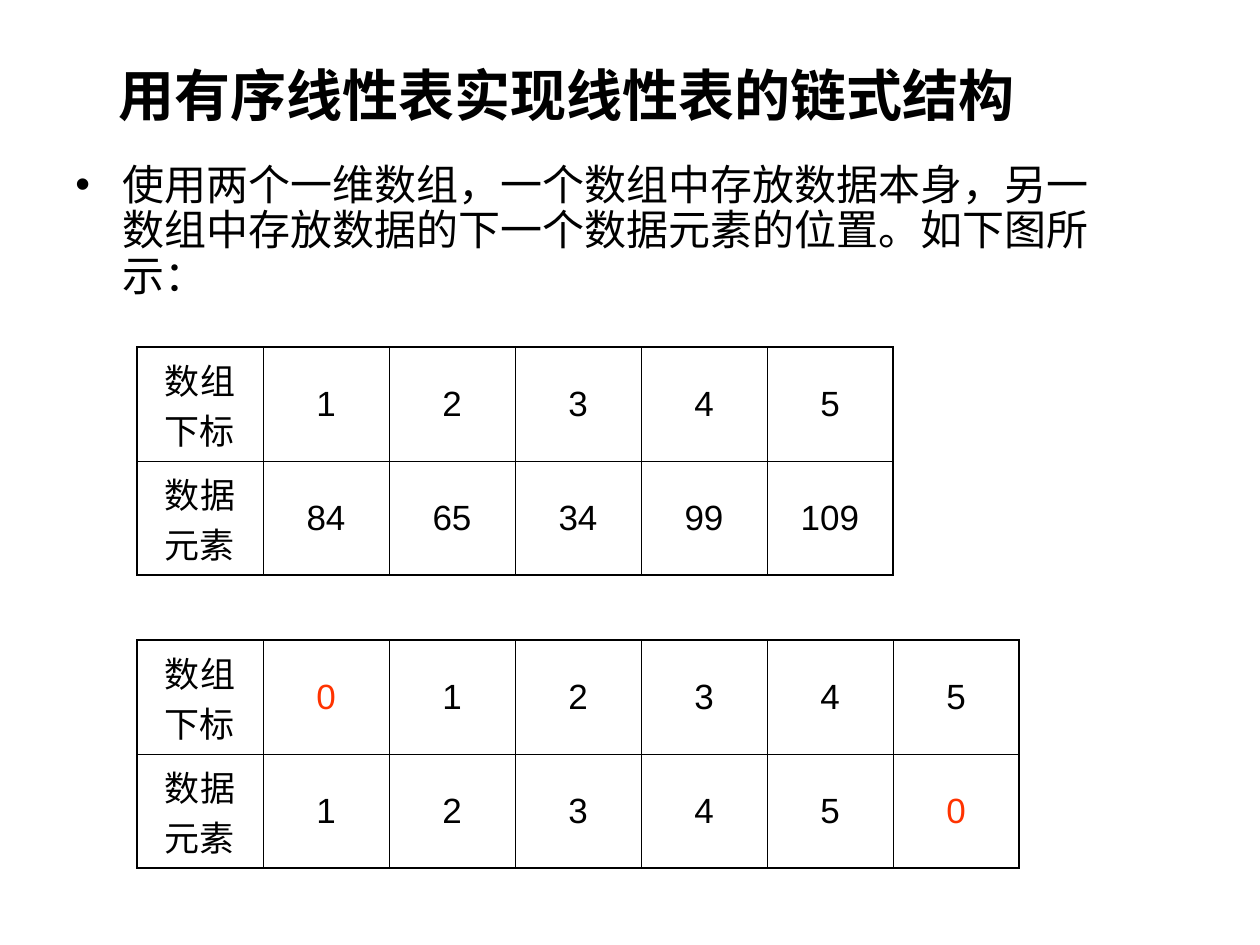
from lxml import etree
from pptx import Presentation
from pptx import util as u
from pptx.dml.color import RGBColor
from pptx.enum import text as t
from pptx.oxml import ns

TITLE = "用有序线性表实现线性表的链式结构"
BODY = "使用两个一维数组，一个数组中存放数据本身，另一数组中存放数据的下一个数据元素的位置。如下图所示："
DATA = [
    ["数组下标", "1", "2", "3", "4", "5"],
    ["数据元素", "84", "65", "34", "99", "109"],
]
LINKS = [
    ["数组下标", "0", "1", "2", "3", "4", "5"],
    ["数据元素", "1", "2", "3", "4", "5", "0"],
]
TABLES = [(347, DATA), (640, LINKS)]
LEFT, COL, ROW = 137, 126, 114
THIN, THICK = 0.45, 1.08
HEX = {"ink": "000000", "mark": "FF3300"}
SANS, HEAN = "Noto Sans CJK JP", "Noto Sans CJK SC"


def px(n):
    return u.Emu(n * 914400 // 126)


def add(parent, tag, **attrs):
    node = etree.SubElement(parent, ns.qn(tag))
    for key, val in attrs.items():
        node.set(key, str(val))
    return node


def write(frame, words, size, font="Arial", east=SANS, color="ink", bold=False,
          align=t.PP_ALIGN.CENTER, space=None, bullet=None):
    frame.word_wrap = True
    para = frame.paragraphs[0]
    para.alignment = align
    if space:
        para.line_spacing = space
    if bullet:
        props = para._p.get_or_add_pPr()
        props.set("marL", str(px(47)))
        props.set("indent", str(-px(47)))
        add(props, "a:buFont", typeface="Arial")
        add(props, "a:buChar", char=bullet)
    run = para.add_run()
    run.text = words
    run.font.size = u.Pt(size)
    run.font.bold = bold
    run.font.color.rgb = RGBColor.from_string(HEX[color])
    run.font.name = font
    add(run._r.get_or_add_rPr(), "a:ea", typeface=east)


def box(left, top, width, height):
    shape = slide.shapes.add_textbox(px(left), px(top), px(width), px(height))
    return shape.text_frame


def edge(cell, sides):
    props = cell._tc.get_or_add_tcPr()
    for at, (side, outer) in enumerate(sides.items()):
        line = etree.Element(ns.qn(f"a:ln{side}"), w=str(u.Pt(THICK if outer else THIN)))
        fill = add(line, "a:solidFill")
        add(fill, "a:srgbClr", val=HEX["ink"])
        props.insert(at, line)


def grid(top, rows):
    high, wide = len(rows), len(rows[0])
    frame = slide.shapes.add_table(
        high, wide, px(LEFT), px(top), px(COL * wide), px(ROW * high))
    table = frame.table
    table.first_row = table.horz_banding = False
    for r, row in enumerate(rows):
        table.rows[r].height = px(ROW)
        for c, words in enumerate(row):
            table.columns[c].width = px(COL)
            cell = table.cell(r, c)
            cell.fill.background()
            cell.vertical_anchor = t.MSO_ANCHOR.MIDDLE
            write(cell.text_frame, words, 20, color="mark" if words == "0" else "ink")
            edge(cell, {"L": c == 0, "R": c == wide - 1, "T": r == 0, "B": r == high - 1})


deck = Presentation()
deck.slide_width, deck.slide_height = px(1260), px(945)
slide = deck.slides.add_slide(deck.slide_layouts[6])

body = box(63, 158, 1061, 168)
write(body, BODY, 24, font=SANS, align=t.PP_ALIGN.LEFT, space=0.9, bullet="•")
for top, rows in TABLES:
    grid(top, rows)
title = box(0, 42, 1134, 105)
title.vertical_anchor = t.MSO_ANCHOR.MIDDLE
write(title, TITLE, 32, font=HEAN, east=HEAN, bold=True)

deck.save("out.pptx")
